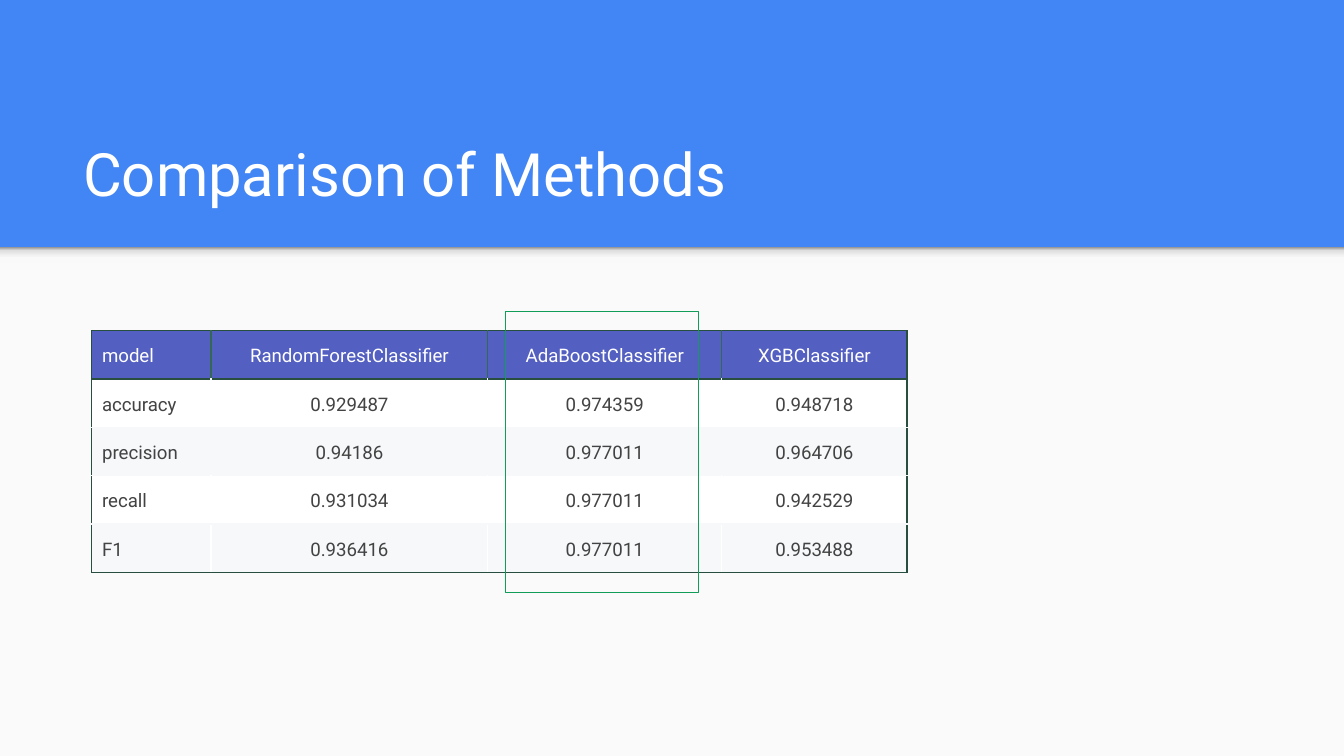
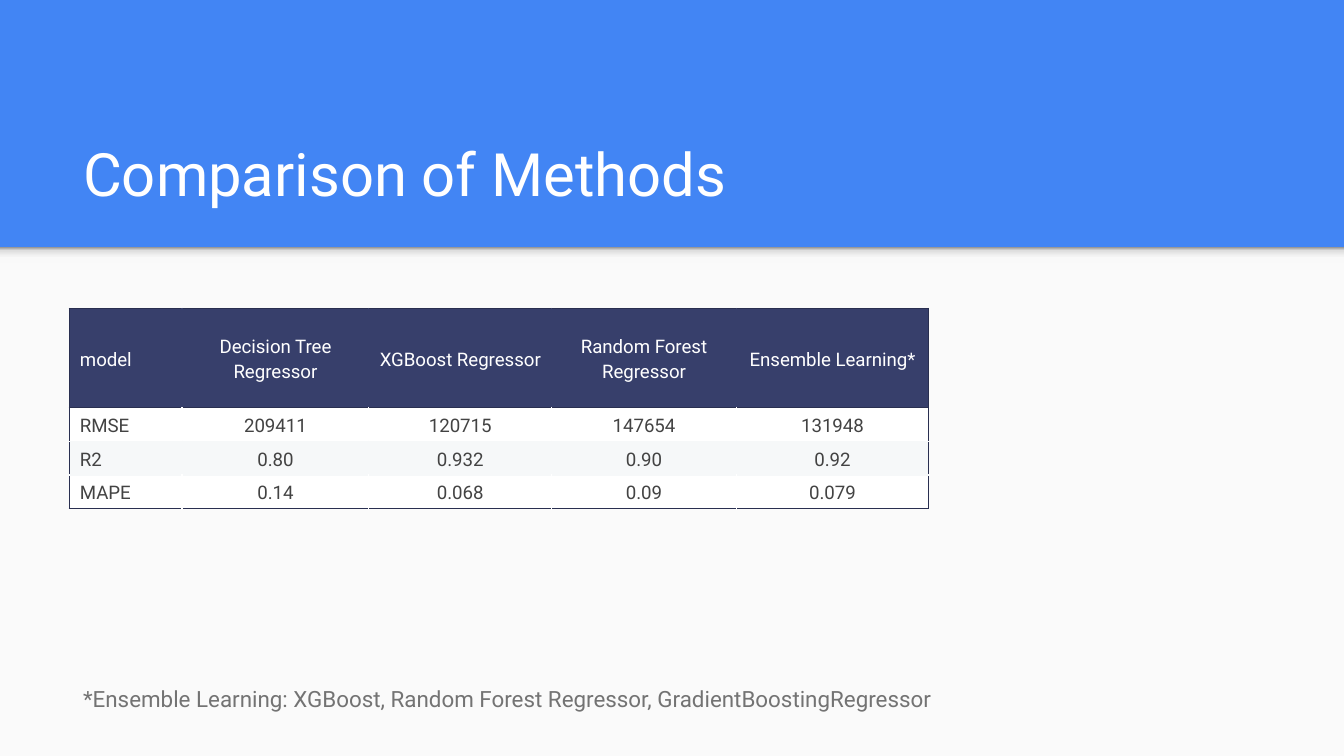
"""Build two slides that compare classifier and regressor scores."""
from dataclasses import dataclass

from lxml import etree
from pptx import Presentation
from pptx import util as u
from pptx.dml.color import RGBColor
from pptx.enum import shapes, text
from pptx.oxml import ns
from pptx.slide import Slide
from pptx.table import _Cell
from pptx.text.text import TextFrame

SCALE = 4572
WIDE, HIGH, SPLIT = 2000, 1125, 368
EDGE = u.Pt(0.75)
FONT = "Roboto"
TITLE = "Comparison of Methods"

BLUE = RGBColor(0x42, 0x85, 0xF4)
PAPER = RGBColor(0xFA, 0xFA, 0xFA)
WHITE = RGBColor(0xFF, 0xFF, 0xFF)
BAND = RGBColor(0xF6, 0xF8, 0xF9)
INK = RGBColor(0x43, 0x43, 0x43)
GRAY = RGBColor(0x73, 0x73, 0x73)
GREEN = RGBColor(0x0F, 0x9D, 0x58)
PINE = RGBColor(0x28, 0x4E, 0x3F)
MOSS = RGBColor(0x35, 0x68, 0x54)
IRIS = RGBColor(0x53, 0x5F, 0xC1)
NAVY = RGBColor(0x29, 0x2F, 0x50)
SLATE = RGBColor(0x37, 0x3F, 0x6B)
HAZE = RGBColor(0xF9, 0xF9, 0xF9)
MIST = RGBColor(0xDE, 0xDE, 0xDE)
SHADE = RGBColor(0x99, 0x99, 0x99)
FADE = ((0, HAZE), (36, HAZE), (80, MIST), (100, SHADE))


@dataclass(frozen=True)
class Box:
    """Place and size in px."""
    left: int
    top: int
    width: int
    height: int

    def emu(self) -> tuple[u.Emu, ...]:
        """Return the four lengths in EMU."""
        return tuple(px(n) for n in (self.left, self.top, self.width, self.height))


@dataclass(frozen=True)
class Grid:
    """Score table with its sizes and colours."""
    left: int
    top: int
    cols: tuple[int, ...]
    head: int
    row: int
    fill: RGBColor
    outer: RGBColor
    inner: RGBColor
    data: tuple[tuple[str, ...], ...]


MODELS = Grid(136, 492, (178, 412, 348, 276), 72, 72, IRIS, PINE, MOSS, (
    ("model", "RandomForestClassifier", "AdaBoostClassifier", "XGBClassifier"),
    ("accuracy", "0.929487", "0.974359", "0.948718"),
    ("precision", "0.94186", "0.977011", "0.964706"),
    ("recall", "0.931034", "0.977011", "0.942529"),
    ("F1", "0.936416", "0.977011", "0.953488"),
))
ERRORS = Grid(103, 459, (168, 278, 272, 275, 286), 148, 50, SLATE, NAVY, SLATE, (
    ("model", "Decision Tree Regressor", "XGBoost Regressor",
     "Random Forest Regressor", "Ensemble Learning*"),
    ("RMSE", "209411", "120715", "147654", "131948"),
    ("R2", "0.80", "0.932", "0.90", "0.92"),
    ("MAPE", "0.14", "0.068", "0.09", "0.079"),
))
NOTE = "*Ensemble Learning: XGBoost, Random Forest Regressor, GradientBoostingRegressor"


def px(n: int) -> u.Emu:
    """Turn px into EMU."""
    return u.Emu(n * SCALE)


def write(host: TextFrame | _Cell, words: str, *, size: int, color: RGBColor,
          align: text.PP_ALIGN = text.PP_ALIGN.LEFT,
          anchor: text.MSO_ANCHOR = text.MSO_ANCHOR.TOP,
          space: float = 1.0, after: int = 0, pad: tuple[int, int] = (20, 20)) -> None:
    """Put formatted text into a frame or a cell."""
    frame = host.text_frame if isinstance(host, _Cell) else host
    host.margin_left = host.margin_right = px(pad[0])
    host.margin_top = host.margin_bottom = px(pad[1])
    host.vertical_anchor = anchor
    frame.word_wrap = True
    para = frame.paragraphs[0]
    para.alignment, para.line_spacing, para.space_after = align, space, u.Pt(after)
    run = para.add_run()
    run.text = words
    run.font.name, run.font.size, run.font.color.rgb = FONT, u.Pt(size), color


def label(slide: Slide, box: Box, words: str, **form) -> None:
    """Add a text box."""
    write(slide.shapes.add_textbox(*box.emu()).text_frame, words, **form)


def block(slide: Slide, box: Box, fill: RGBColor | None = None,
          line: RGBColor | None = None, fade: tuple = ()) -> None:
    """Add a rectangle with a plain fill, a fade or an outline."""
    shape = slide.shapes.add_shape(shapes.MSO_SHAPE.RECTANGLE, *box.emu())
    shape.shadow.inherit = False
    if fade:
        shape.fill.gradient()
        shape.fill.gradient_angle = 90
        stops = shape._element.spPr.find(".//" + ns.qn("a:gsLst"))
        stops.clear()
        for part, color in fade:
            stop = etree.SubElement(stops, ns.qn("a:gs"), pos=str(part * 1000))
            etree.SubElement(stop, ns.qn("a:srgbClr"), val=str(color))
    elif fill is not None:
        shape.fill.solid()
        shape.fill.fore_color.rgb = fill
    else:
        shape.fill.background()
    if line is not None:
        shape.line.color.rgb = line
        shape.line.width = EDGE
    else:
        shape.line.fill.background()


def border(cell: _Cell, **sides: RGBColor) -> None:
    """Draw the cell borders, given in the order L, R, T, B."""
    props = cell._tc.get_or_add_tcPr()
    for side, color in sides.items():
        line = etree.SubElement(props, ns.qn("a:ln" + side), w=str(EDGE))
        fill = etree.SubElement(line, ns.qn("a:solidFill"))
        etree.SubElement(fill, ns.qn("a:srgbClr"), val=str(color))


def table(slide: Slide, grid: Grid) -> None:
    """Add a score table with a dark head and banded rows."""
    rows, cols = len(grid.data), len(grid.cols)
    last = rows - 1
    box = Box(grid.left, grid.top, sum(grid.cols), grid.head + last * grid.row)
    tab = slide.shapes.add_table(rows, cols, *box.emu()).table
    tab.first_row = tab.horz_banding = False
    for col, width in zip(tab.columns, grid.cols):
        col.width = px(width)
    for r, items in enumerate(grid.data):
        tab.rows[r].height = px(grid.row if r else grid.head)
        fill = (WHITE if r % 2 else BAND) if r else grid.fill
        inner = (WHITE if r == last else fill) if r else grid.inner
        for c, words in enumerate(items):
            cell = tab.cell(r, c)
            border(cell,
                   L=inner if c else grid.outer,
                   R=inner if c < cols - 1 else grid.outer,
                   T=BAND if r > 1 else grid.outer,
                   B=BAND if 0 < r < last else grid.outer)
            cell.fill.solid()
            cell.fill.fore_color.rgb = fill
            write(cell, words, size=10, color=INK if r else WHITE, space=1.15,
                  align=text.PP_ALIGN.CENTER if c else text.PP_ALIGN.LEFT,
                  anchor=text.MSO_ANCHOR.MIDDLE, pad=(16, 4))


def start(deck: Presentation) -> Slide:
    """Add a slide with the shared backdrop and title."""
    slide = deck.slides.add_slide(deck.slide_layouts[6])
    back = slide.background.fill
    back.solid()
    back.fore_color.rgb = BLUE
    block(slide, Box(0, SPLIT, WIDE, HIGH - SPLIT), fill=PAPER)
    block(slide, Box(0, SPLIT, WIDE, 24), fade=FADE)
    label(slide, Box(104, 162, 1798, 168), TITLE, size=32, color=WHITE,
          anchor=text.MSO_ANCHOR.BOTTOM)
    return slide


def main() -> None:
    """Build and save the deck."""
    deck = Presentation()
    deck.slide_width, deck.slide_height = px(WIDE), px(HIGH)
    slide = start(deck)
    table(slide, MODELS)
    block(slide, Box(752, 464, 288, 418), line=GREEN)
    slide = start(deck)
    label(slide, Box(104, 994, 1388, 70), NOTE, size=12, color=GRAY,
          space=1.15, after=16)
    table(slide, ERRORS)
    deck.save("out.pptx")


if __name__ == "__main__":
    main()
